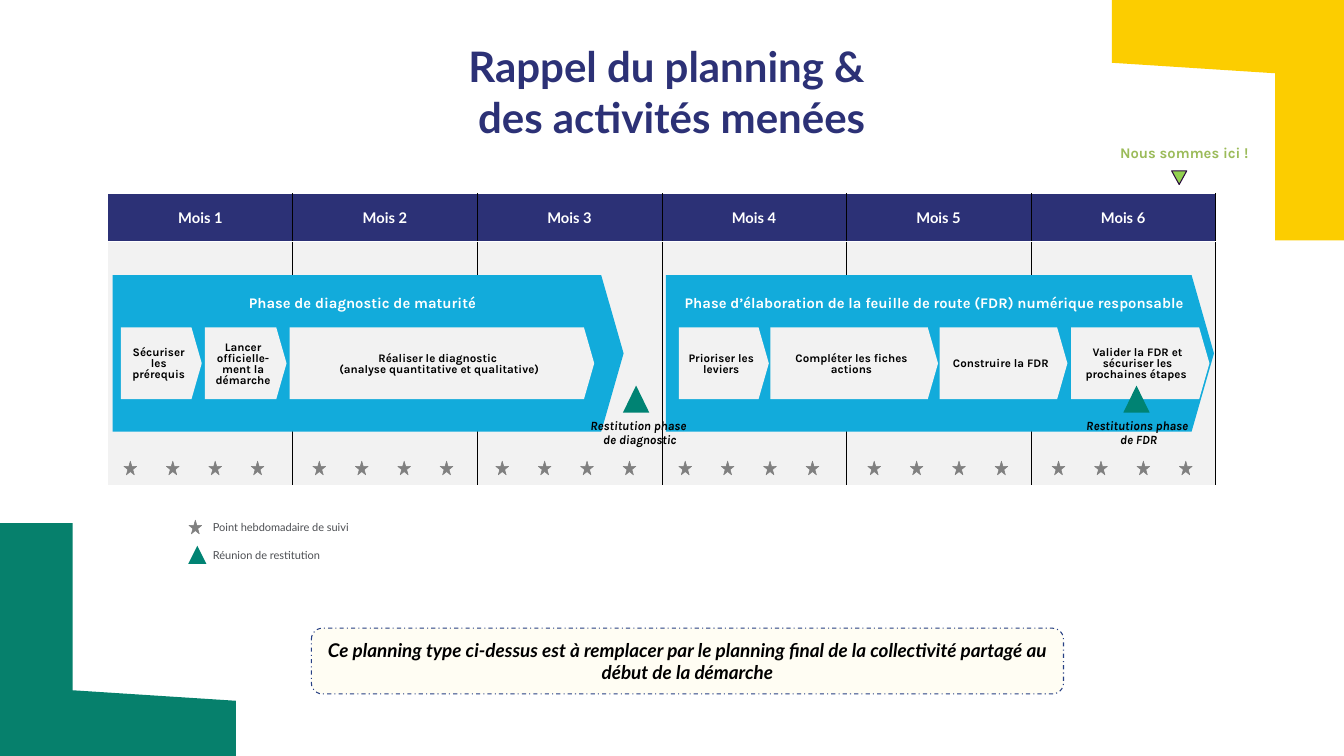
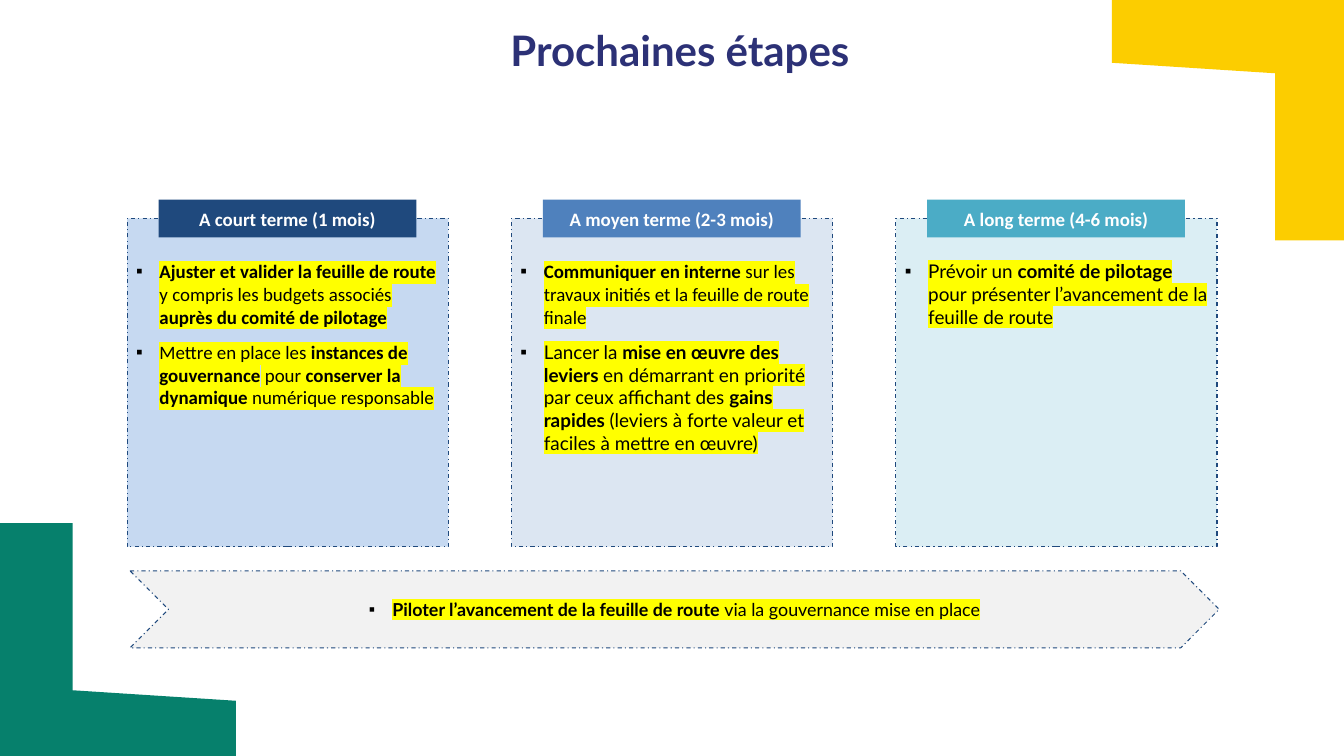
from dataclasses import dataclass

from lxml import etree
from pptx import Presentation
from pptx import util as u
from pptx.dml.color import RGBColor
from pptx.enum import dml, shapes, text
from pptx.oxml import ns


@dataclass(frozen=True)
class Theme:
    navy: str = "2C3176"
    yellow: str = "FCCD00"
    green: str = "06806C"
    milestone: str = "008373"
    phase: str = "12ABDB"
    pale: str = "F2F2F2"
    star: str = "808080"
    legend: str = "4D4F53"
    cream: str = "FFFDF3"
    note_line: str = "274084"
    dash_line: str = "1F497D"
    here: str = "9BBB59"
    marker: str = "92D050"
    marker_line: str = "2A0A3D"
    highlight: str = "FFFF00"
    black: str = "000000"
    white: str = "FFFFFF"
    head: str = "Lato"
    plan: str = "Karla"
    body: str = "Calibri"
    title_size: float = 40
    body_size: float = 18
    banner_size: float = 17
    phase_size: float = 14
    label_size: float = 12
    step_size: float = 11
    legend_size: float = 10.5


T = Theme()
SLIDE_W, SLIDE_H = 1280.16, 720

CORNERS = [
    (T.yellow, [(1280.16, 0), (1059.1, 0), (1059.1, 59.8), (1214.6, 69.8),
                (1214.6, 229), (1280.16, 229)]),
    (T.green, [(69.1, 498.2), (0, 498.2), (0, 720), (224.6, 720),
               (224.6, 667.4), (69.1, 657.4)]),
]

PLANNING_TITLE = "Rappel du planning & \ndes activités menées"
MONTHS = [f"Mois {number}" for number in range(1, 7)]
FIRST_STARS = [118.1, 298.1, 472.3, 646.6, 826.6, 1002.2]
PHASES = [
    ("Phase de diagnostic de maturité", 107.3, 486.7, [
        (["Sécuriser les prérequis"], 115.2, 77),
        (["Lancer officielle-ment la démarche"], 195.1, 77.8),
        (["Réaliser le diagnostic ", "(analyse quantitative et qualitative)"], 275.8, 290.2),
    ]),
    ("Phase d’élaboration de la feuille de route (FDR) numérique responsable", 634.3, 522, [
        (["Prioriser les leviers"], 646.6, 85.7),
        (["Compléter les fiches actions"], 733.7, 159.8),
        (["Construire la FDR"], 895, 121.7),
        (["Valider la FDR et sécuriser les prochaines étapes "], 1020.2, 131.8),
    ]),
]
MILESTONES = [
    (593.3, ["Restitution phase ", "de diagnostic"], 543.6, 131.8),
    (1069.9, ["Restitutions phase ", "de FDR"], 998.6, 172.1),
]
LEGEND = [("Point hebdomadaire de suivi", 491.8), ("Réunion de restitution", 519.1)]
HERE = "Nous sommes ici !"
NOTE = ("Ce planning type ci-dessus est à remplacer par le planning final "
        "de la collectivité partagé au début de la démarche")

STEPS_TITLE = "Prochaines étapes"
TERMS = [
    ("A court terme (1 mois)", "1F497D", "C6D9F1", [
        (T.body, "*Ajuster et valider la feuille de route *y compris les budgets associés "
                 "*auprès du comité de pilotage*"),
        (T.body, "Mettre en place les *instances de gouvernance* pour "
                 "*conserver la dynamique* numérique responsable"),
    ]),
    ("A moyen terme (2-3 mois)", "4F81BD", "DCE6F2", [
        (T.body, "*Communiquer en interne *sur les travaux initiés et la feuille de route finale"),
        (T.head, "Lancer la *mise en œuvre des leviers *en démarrant en priorité par ceux "
                 "affichant des *gains rapides *(leviers à forte valeur et faciles à mettre en œuvre)"),
    ]),
    ("A long terme (4-6 mois)", "4BACC6", "DBEEF4", [
        (T.head, "Prévoir un *comité de pilotage *pour présenter l’avancement de la feuille de route"),
    ]),
]
BANNER = "*Piloter l’avancement de la feuille de route *via la gouvernance mise en place"

CENTER, LEFT = text.PP_ALIGN.CENTER, text.PP_ALIGN.LEFT
MIDDLE, TOP = text.MSO_ANCHOR.MIDDLE, text.MSO_ANCHOR.TOP
NO_INSETS = (0, 0, 0, 0)
BOX_INSETS = (7.2, 3.6, 7.2, 3.6)
PLAN_INSETS = (4.3, 4.3, 4.3, 2.2)


def apply(target, values):
    for key, value in values.items():
        setattr(target, key, value)


def sub(parent, tag, **attributes):
    return etree.SubElement(parent, ns.qn(tag), attributes)


def paint(shape, fill, line=None, width=1, dash=None):
    shape.shadow.inherit = False
    shape.fill.solid()
    shape.fill.fore_color.rgb = RGBColor.from_string(fill)
    if line is None:
        shape.line.fill.background()
        return
    shape.line.color.rgb = RGBColor.from_string(line)
    shape.line.width = u.Pt(width)
    if dash:
        shape.line.dash_style = dash


def add_shape(slide, kind, box, fill, adjust=None, **line):
    shape = slide.shapes.add_shape(kind, *map(u.Pt, box))
    paint(shape, fill, **line)
    if adjust is not None:
        shape.adjustments[0] = adjust
    return shape


def add_outline(slide, points, fill, **line):
    start, *rest = [(u.Pt(x), u.Pt(y)) for x, y in points]
    builder = slide.shapes.build_freeform(*start, scale=1.0)
    builder.add_line_segments(rest, close=True)
    paint(builder.convert_to_shape(), fill, **line)


def style_run(run, size, font, color, bold, italic=False, highlight=None):
    apply(run.font, dict(size=u.Pt(size), name=font, bold=bold, italic=italic))
    run.font.color.rgb = RGBColor.from_string(color)
    if highlight:
        mark = etree.Element(ns.qn("a:highlight"))
        sub(mark, "a:srgbClr", val=highlight)
        run.font._element.find(ns.qn("a:solidFill")).addnext(mark)


def frame_text(frame, insets, anchor):
    margins = zip(("margin_left", "margin_top", "margin_right", "margin_bottom"), map(u.Pt, insets))
    apply(frame, dict(margins, word_wrap=True, vertical_anchor=anchor))


def write(shape, lines, size, font, color=T.black, bold=True, italic=False,
          align=CENTER, anchor=MIDDLE, insets=BOX_INSETS, spacing=None):
    frame = shape.text_frame
    frame_text(frame, insets, anchor)
    for index, line in enumerate(lines):
        paragraph = frame.add_paragraph() if index else frame.paragraphs[0]
        apply(paragraph, dict(alignment=align, line_spacing=spacing))
        for part_index, part in enumerate(line.split("\n")):
            if part_index:
                paragraph.add_line_break()
            run = paragraph.add_run()
            run.text = part
            style_run(run, size, font, color, bold, italic)


def write_bullets(shape, items, size, align, anchor, insets):
    frame = shape.text_frame
    frame_text(frame, insets, anchor)
    for index, (font, item) in enumerate(items):
        paragraph = frame.add_paragraph() if index else frame.paragraphs[0]
        apply(paragraph, dict(alignment=align, space_after=u.Pt(12)))
        properties = paragraph._p.get_or_add_pPr()
        properties.set("marL", str(u.Pt(22.3)))
        properties.set("indent", str(u.Pt(-22.3)))
        sub(properties, "a:buFont", typeface="Arial")
        sub(properties, "a:buChar", char="▪")
        for part_index, part in enumerate(item.split("*")):
            if part:
                run = paragraph.add_run()
                run.text = part
                style_run(run, size, font, T.black, part_index % 2 == 1, highlight=T.highlight)


def add_label(slide, box, lines, size, font, **style):
    write(slide.shapes.add_textbox(*map(u.Pt, box)), lines, size, font, anchor=TOP, **style)


def new_slide(deck, title, box):
    slide = deck.slides.add_slide(deck.slide_layouts[6])
    for color, points in CORNERS:
        add_outline(slide, points, color)
    add_label(slide, box, [title], T.title_size, T.head, color=T.navy, insets=NO_INSETS)
    return slide


def cell_border(cell, side, color, width):
    properties = cell._tc.get_or_add_tcPr()
    line = sub(properties, f"a:ln{side}", w=str(u.Pt(width)))
    if color:
        sub(sub(line, "a:solidFill"), "a:srgbClr", val=color)
    else:
        sub(line, "a:noFill")


def add_calendar(slide):
    row_heights, column_width = (45.4, 232.2), 175.8
    calendar = slide.shapes.add_table(2, len(MONTHS), *map(u.Pt, (
        103, 184.5, column_width * len(MONTHS), sum(row_heights)))).table
    apply(calendar, dict(first_row=False, horz_banding=False))
    for row, height in zip(calendar.rows, row_heights):
        row.height = u.Pt(height)
    for column, month in enumerate(MONTHS):
        calendar.columns[column].width = u.Pt(column_width)
        for row, fill in enumerate((T.navy, T.pale)):
            cell = calendar.cell(row, column)
            cell_border(cell, "L", T.black if column else None, 0.5)
            cell_border(cell, "R", T.black, 0.5)
            cell_border(cell, "T", T.white, 1)
            cell_border(cell, "B", T.white, 1)
            cell.fill.solid()
            cell.fill.fore_color.rgb = RGBColor.from_string(fill)
        heading = calendar.cell(0, column)
        apply(heading, dict(vertical_anchor=MIDDLE, margin_left=u.Pt(0.7), margin_right=u.Pt(0.7),
                            margin_top=u.Pt(0.7), margin_bottom=0))
        paragraph = heading.text_frame.paragraphs[0]
        paragraph.alignment = CENTER
        run = paragraph.add_run()
        run.text = month
        style_run(run, T.phase_size, T.head, T.white, True)


def add_star(slide, left, top):
    add_shape(slide, shapes.MSO_SHAPE.STAR_5_POINT, (left, top, 12.2, 13), T.star,
              line=T.star, width=0.5)


def add_milestone(slide, box):
    add_shape(slide, shapes.MSO_SHAPE.ISOSCELES_TRIANGLE, box, T.milestone)


def build_planning(deck):
    slide = new_slide(deck, PLANNING_TITLE, (78.5, 38.9, 1122.5, 97.9))
    note = add_shape(slide, shapes.MSO_SHAPE.ROUNDED_RECTANGLE, (296.6, 598.3, 716.4, 62.6),
                     T.cream, line=T.note_line, dash=dml.MSO_LINE.DASH_DOT)
    write(note, [NOTE], T.body_size, T.head, italic=True)
    add_calendar(slide)

    for name, left, width, steps in PHASES:
        phase = add_shape(slide, shapes.MSO_SHAPE.PENTAGON, (left, 262.1, width, 149), T.phase, 0.143)
        write(phase, [name], T.phase_size, T.plan, color=T.white, anchor=TOP,
              insets=(4.3, 21, 4.3, 2.2), spacing=0.8)
        for lines, step_left, step_width in steps:
            step = add_shape(slide, shapes.MSO_SHAPE.PENTAGON,
                             (step_left, 311.8, step_width, 68.4), T.pale, 0.143)
            write(step, lines, T.step_size, T.plan, insets=PLAN_INSETS, spacing=0.8)

    for first in FIRST_STARS:
        for week in range(4):
            add_star(slide, first + week * 40.4, 439.2)
    for left, lines, label_left, label_width in MILESTONES:
        add_milestone(slide, (left, 367.2, 25.2, 25.9))
        add_label(slide, (label_left, 399.6, label_width, 31.7), lines, T.label_size, T.plan,
                  italic=True, insets=NO_INSETS, spacing=0.9)

    add_star(slide, 180, 495.4)
    add_milestone(slide, (179.3, 519.8, 17.3, 17.3))
    for caption, top in LEGEND:
        add_label(slide, (195.8, top, 172.8, 20.2), [caption], T.legend_size, T.head,
                  color=T.legend, bold=False, align=LEFT)
    add_outline(slide, [(1130.4, 162.7), (1123.2, 175.7), (1116, 162.7)], T.marker,
                line=T.marker_line)
    add_label(slide, (1059.8, 133.2, 149.8, 24.5), [HERE], T.phase_size, T.plan,
              color=T.here, align=LEFT)


def build_next_steps(deck):
    slide = new_slide(deck, STEPS_TITLE, (151.2, 23.8, 992.9, 48.2))
    dashed = dict(line=T.dash_line, dash=dml.MSO_LINE.DASH_DOT)
    for index, (term, head_fill, body_fill, items) in enumerate(TERMS):
        left = 121 + index * 366.1
        card = add_shape(slide, shapes.MSO_SHAPE.RECTANGLE, (left, 208.1, 306, 312.5),
                         body_fill, **dashed)
        write_bullets(card, items, T.body_size, LEFT, TOP, (8.6, 39.6, 8.6, 11.5))
        header = add_shape(slide, shapes.MSO_SHAPE.RECTANGLE, (left + 30, 190.1, 245.5, 36), head_fill)
        write(header, [term], T.body_size, T.body, color=T.white)
    banner = add_shape(slide, shapes.MSO_SHAPE.CHEVRON, (123.8, 543.6, 1037.5, 73.4), T.pale, **dashed)
    write_bullets(banner, [(T.head, BANNER)], T.banner_size, CENTER, MIDDLE, (8.6, 11.5, 8.6, 11.5))


def main():
    deck = Presentation()
    apply(deck, dict(slide_width=u.Pt(SLIDE_W), slide_height=u.Pt(SLIDE_H)))
    build_planning(deck)
    build_next_steps(deck)
    deck.save("out.pptx")


if __name__ == "__main__":
    main()
